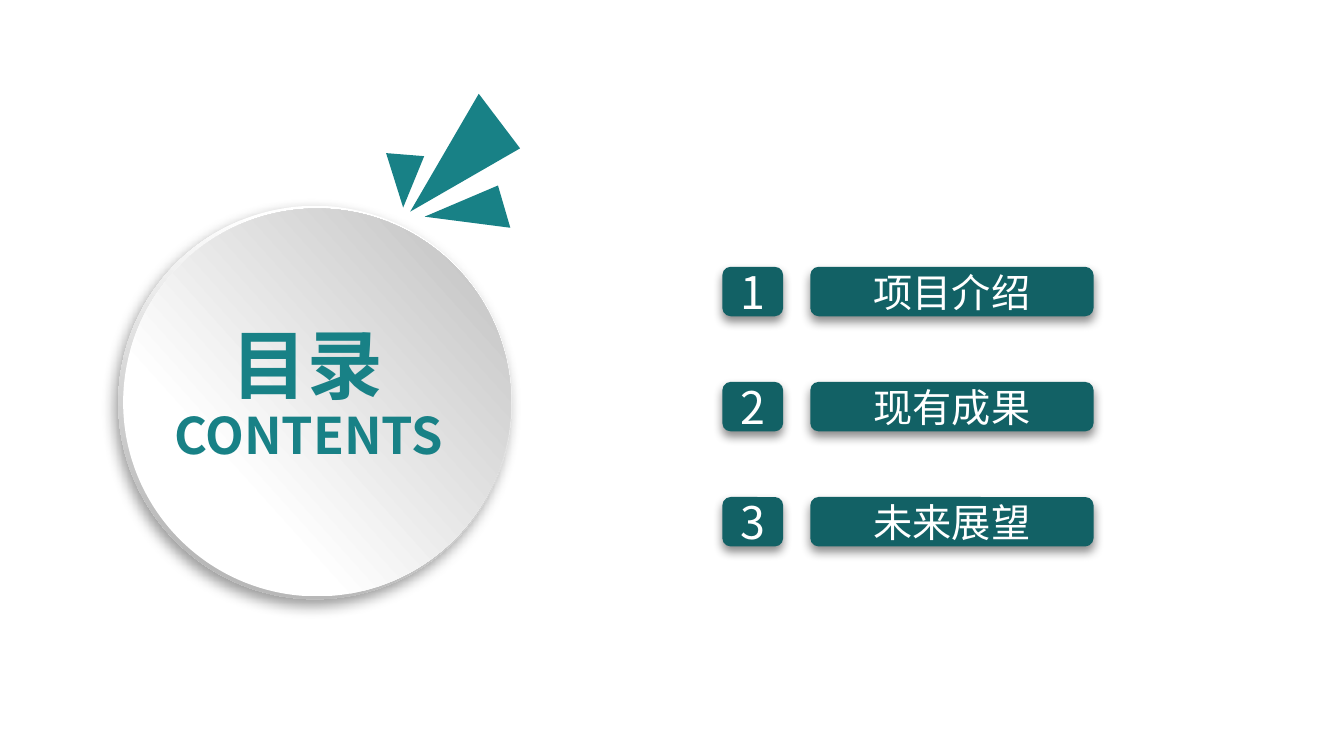
from dataclasses import dataclass

from lxml import etree
from pptx import Presentation
from pptx.dml.color import RGBColor
from pptx.enum.shapes import MSO_SHAPE
from pptx.enum.text import MSO_ANCHOR, MSO_AUTO_SIZE, PP_ALIGN
from pptx.oxml.ns import qn
from pptx.util import Pt

OVAL = MSO_SHAPE.OVAL
ROUNDED = MSO_SHAPE.ROUNDED_RECTANGLE
MIDDLE = MSO_ANCHOR.MIDDLE
CENTER = PP_ALIGN.CENTER
NO_AUTOFIT = MSO_AUTO_SIZE.NONE
TITLE_ONLY = 5


@dataclass(frozen=True)
class Theme:
    font: str = "Noto Sans CJK SC"
    accent: str = "188186"
    button: str = "126165"
    light: str = "FFFFFF"
    rim_gray: str = "B8B8B8"
    face_gray: str = "BFBFBF"
    shadow: str = "000000"
    title_size: int = 54
    subtitle_size: int = 36
    number_size: int = 32
    item_size: int = 28


def rgb(value):
    return RGBColor.from_string(value)


def write_text(shape, text, *, font, size, color, bold=False):
    """Put one centred line in the middle of the shape."""
    frame = shape.text_frame
    frame.word_wrap = True
    frame.auto_size = NO_AUTOFIT
    frame.vertical_anchor = MIDDLE
    frame.margin_left = frame.margin_right = 0
    frame.margin_top = frame.margin_bottom = 0
    paragraph = frame.paragraphs[0]
    paragraph.alignment = CENTER
    run = paragraph.add_run()
    run.text = text
    run.font.name = font
    run.font.size = Pt(size)
    run.font.bold = bold
    run.font.color.rgb = rgb(color)
    east_asian = etree.SubElement(run.font._element, qn("a:ea"))
    east_asian.set("typeface", font)


class SlideBuilder:
    def __init__(self, slide, theme):
        self.slide = slide
        self.theme = theme

    def title(self, text, left, top, width, height):
        """Format the title placeholder and bring it to the front."""
        title = self.slide.shapes.title
        title.left, title.top = Pt(left), Pt(top)
        title.width, title.height = Pt(width), Pt(height)
        write_text(title, text, font=self.theme.font, size=self.theme.title_size,
                   color=self.theme.accent, bold=True)
        title._element.getparent().append(title._element)

    def label(self, text, left, top, width, height):
        box = self.slide.shapes.add_textbox(Pt(left), Pt(top), Pt(width), Pt(height))
        write_text(box, text, font=self.theme.font, size=self.theme.subtitle_size,
                   color=self.theme.accent, bold=True)

    def shape(self, kind, left, top, width, height):
        shape = self.slide.shapes.add_shape(kind, Pt(left), Pt(top), Pt(width), Pt(height))
        shape.line.fill.background()
        shape.shadow.inherit = False
        return shape

    def add_shadow(self, shape, opacity, blur, distance, direction):
        effects = shape._element.spPr.find(qn("a:effectLst"))
        shadow = etree.SubElement(
            effects, qn("a:outerShdw"), blurRad=str(Pt(blur)), dist=str(Pt(distance)),
            dir=str(direction * 60000), algn="ctr", rotWithShape="0")
        color = etree.SubElement(shadow, qn("a:srgbClr"), val=self.theme.shadow)
        etree.SubElement(color, qn("a:alpha"), val=str(opacity * 1000))

    def disc(self, left, top, diameter, stops, angle):
        """Draw a gradient circle; the angle runs counter-clockwise."""
        disc = self.shape(OVAL, left, top, diameter, diameter)
        disc.fill.gradient()
        disc.fill.gradient_angle = angle
        for stop, (position, color) in zip(disc.fill.gradient_stops, stops):
            stop.position = position
            stop.color.rgb = rgb(color)
        return disc

    def ray(self, points):
        start, *others = [(Pt(x), Pt(y)) for x, y in points]
        builder = self.slide.shapes.build_freeform(*start)
        builder.add_line_segments(others, close=True)
        ray = builder.convert_to_shape()
        ray.fill.solid()
        ray.fill.fore_color.rgb = rgb(self.theme.accent)
        ray.line.fill.background()
        ray.shadow.inherit = False

    def button(self, text, left, top, width, height, size):
        button = self.shape(ROUNDED, left, top, width, height)
        button.fill.solid()
        button.fill.fore_color.rgb = rgb(self.theme.button)
        self.add_shadow(button, opacity=46, blur=7, distance=4, direction=90)
        write_text(button, text, font=self.theme.font, size=size, color=self.theme.light)


RAYS = [
    [(293, 151.2), (342, 67), (371.5, 106)],
    [(303.3, 154.8), (355.7, 132.5), (364.5, 162.7)],
    [(288, 148.3), (275.8, 109.4), (303, 111.6)],
]
ITEMS = ["项目介绍", "现有成果", "未来展望"]
ITEM_TOP, ITEM_PITCH, ITEM_HEIGHT = 190.6, 82.2, 35.3


def main():
    presentation = Presentation()
    presentation.slide_width, presentation.slide_height = Pt(960), Pt(540)
    theme = Theme()
    slide = presentation.slides.add_slide(presentation.slide_layouts[TITLE_ONLY])
    builder = SlideBuilder(slide, theme)

    rim = builder.disc(84.5, 147, 281, [(0.17, theme.light), (0.88, theme.rim_gray)], 253)
    builder.add_shadow(rim, opacity=39, blur=10, distance=5, direction=123)
    builder.disc(88, 149, 277, [(0.29, theme.light), (0.98, theme.face_gray)], 42)
    for points in RAYS:
        builder.ray(points)

    builder.label("CONTENTS", 103, 285, 235, 51)
    builder.title("目录", 102, 223, 235, 73)

    for index, item in enumerate(ITEMS):
        top = ITEM_TOP + index * ITEM_PITCH
        builder.button(str(index + 1), 516, top, 43.4, ITEM_HEIGHT, theme.number_size)
        builder.button(item, 578.8, top, 202.3, ITEM_HEIGHT, theme.item_size)

    presentation.save("out.pptx")


if __name__ == "__main__":
    main()
